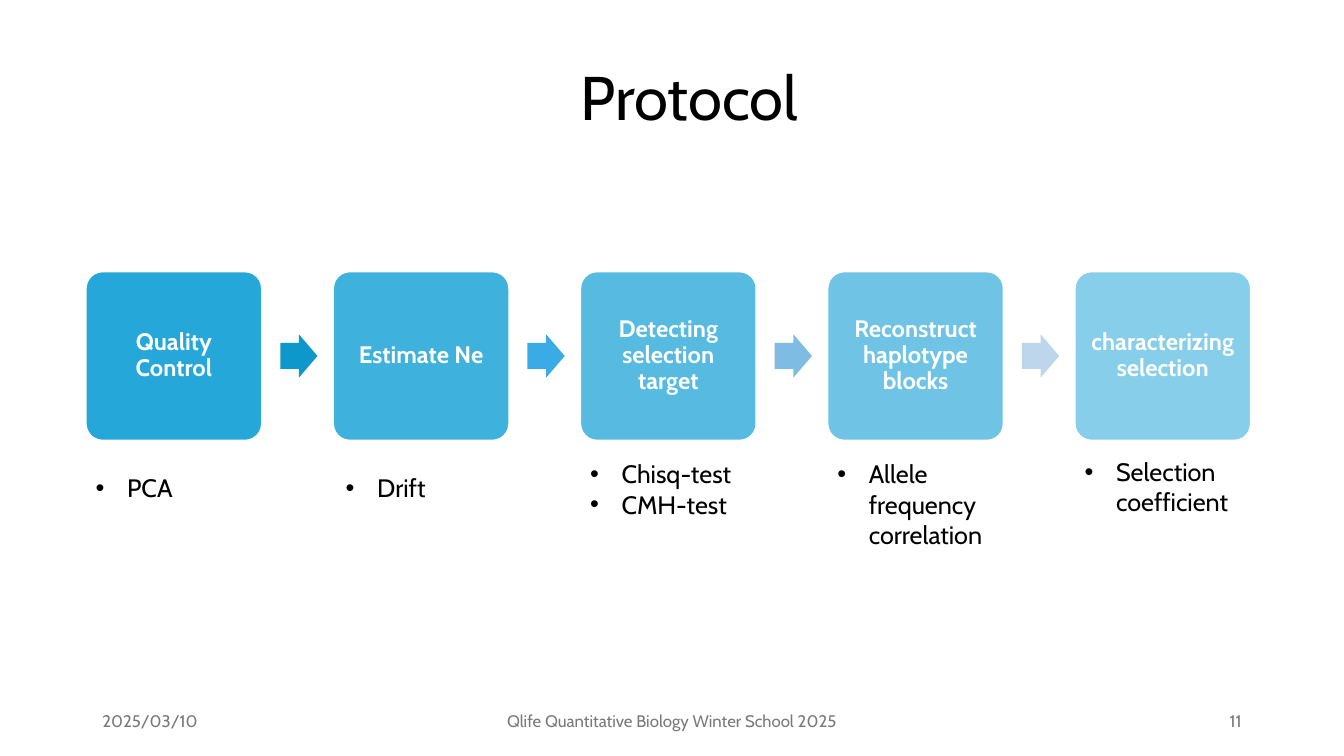
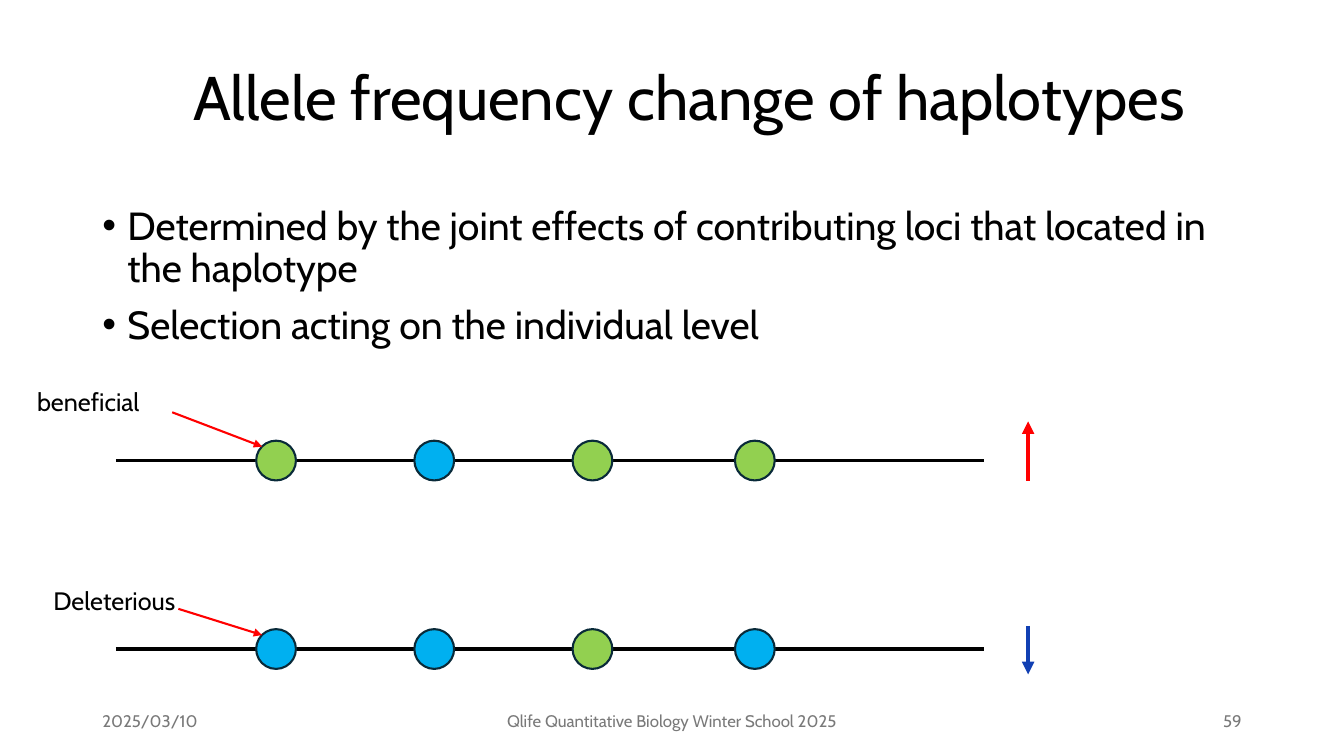
"""Build two slides: the analysis protocol and allele frequency change of haplotypes."""
import dataclasses

import lxml.etree
import pptx
import pptx.dml.color
import pptx.enum.shapes
import pptx.enum.text
import pptx.oxml.ns
import pptx.util

Pt = pptx.util.Pt
RGB = pptx.dml.color.RGBColor.from_string
qn = pptx.oxml.ns.qn
ALIGN = pptx.enum.text.PP_ALIGN
ANCHOR = pptx.enum.text.MSO_ANCHOR
SHAPE = pptx.enum.shapes.MSO_SHAPE


@dataclasses.dataclass(frozen=True)
class Theme:
    font: str = "Cabin"
    black: str = "000000"
    white: str = "FFFFFF"
    grey: str = "797979"
    step: str = "0F9ED5"
    step_arrows: tuple = ("0E97CB", "3AABE4", "7FBCE4", "BDD6EB")
    beneficial: str = "92D050"
    deleterious: str = "00B0F0"
    locus_edge: str = "092A39"
    red: str = "FF0000"
    blue: str = "1140B3"
    title_size: int = 44
    body_size: int = 28
    note_size: int = 18
    step_size: int = 17
    footer_size: int = 12


theme = Theme()


def write_text(holder, text, size=theme.note_size, color=theme.black, bold=False, align=ALIGN.LEFT,
               anchor=ANCHOR.TOP, spacing=1.0, gap=0, indent=0, inset=None):
    """Write one paragraph per line of text; a positive indent adds bullets."""
    frame = holder.text_frame
    frame.word_wrap = True
    frame.vertical_anchor = anchor
    if inset is not None:
        frame.margin_left = frame.margin_right = Pt(inset)
        frame.margin_top = frame.margin_bottom = Pt(inset)
    for number, line in enumerate(text.split("\n")):
        paragraph = frame.add_paragraph() if number else frame.paragraphs[0]
        paragraph.alignment = align
        paragraph.line_spacing = spacing
        if number and gap:
            paragraph.space_before = Pt(gap)
        if indent:
            properties = paragraph._p.get_or_add_pPr()
            properties.set("marL", str(Pt(indent)))
            properties.set("indent", str(-Pt(indent)))
            lxml.etree.SubElement(properties, qn("a:buFont")).set("typeface", "Arial")
            lxml.etree.SubElement(properties, qn("a:buChar")).set("char", "•")
        run = paragraph.add_run()
        run.text = line
        run.font.name = theme.font
        run.font.size = Pt(size)
        run.font.bold = bold
        run.font.color.rgb = RGB(color)


def draw_line(slide, start, end, color, width, arrow=True):
    """Draw a straight line, with an arrowhead at its end if wanted."""
    line = slide.shapes.add_connector(pptx.enum.shapes.MSO_CONNECTOR.STRAIGHT, *map(Pt, start + end))
    line.line.color.rgb = RGB(color)
    line.line.width = Pt(width)
    properties = line._element.spPr
    if arrow:
        lxml.etree.SubElement(properties.find(qn("a:ln")), qn("a:tailEnd")).set("type", "triangle")
    lxml.etree.SubElement(properties, qn("a:effectLst"))


presentation = pptx.Presentation()
presentation.slide_width = Pt(960)
presentation.slide_height = Pt(540)

footer_top, footer_height = 500.4, 28.8
slides = []
for title, page in (("Protocol", "11"), ("Allele frequency change of haplotypes", "59")):
    slide = presentation.slides.add_slide(presentation.slide_layouts[6])
    heading = slide.shapes.add_textbox(Pt(78.5), Pt(19.4), Pt(828), Pt(104.4))
    write_text(heading, title, size=theme.title_size, align=ALIGN.CENTER, anchor=ANCHOR.MIDDLE, spacing=0.9)
    for text, left, width, align in (
        ("2025/03/10", 66, 216, ALIGN.LEFT),
        ("Qlife Quantitative Biology Winter School 2025", 318, 324, ALIGN.CENTER),
        (page, 678, 216, ALIGN.RIGHT),
    ):
        footer = slide.shapes.add_textbox(Pt(left), Pt(footer_top), Pt(width), Pt(footer_height))
        write_text(footer, text, size=theme.footer_size, color=theme.grey, align=align, anchor=ANCHOR.MIDDLE)
    slides.append(slide)
protocol, haplotypes = slides

steps = (
    ("Quality Control", "PCA", 0, 334, 97, 29),
    ("Estimate Ne", "Drift", 2, 334, 97, 29),
    ("Detecting selection target", "Chisq-test\nCMH-test", 0, 324, 138, 51),
    ("Reconstruct haplotype blocks", "Allele frequency correlation", 0, 324, 138, 73),
    ("characterizing selection", "Selection coefficient", 0, 322.5, 138, 51),
)
step_left, step_top, step_width, step_height, step_pitch = 61.2, 193.8, 126, 121, 176.6
arrow_offset, arrow_width, arrow_height = 139, 26.6, 31
for index, (name, note, note_shift, note_top, note_width, note_height) in enumerate(steps):
    left = step_left + index * step_pitch
    step = protocol.shapes.add_shape(SHAPE.ROUNDED_RECTANGLE, Pt(left), Pt(step_top), Pt(step_width), Pt(step_height))
    step.shadow.inherit = False
    step.adjustments[0] = 0.1
    step.fill.solid()
    step.fill.fore_color.rgb = RGB(theme.step)
    opacity = lxml.etree.SubElement(step._element.spPr.find(qn("a:solidFill"))[0], qn("a:alpha"))
    opacity.set("val", str(90000 - 10000 * index))
    step.line.color.rgb = RGB(theme.white)
    step.line.width = Pt(1.5)
    write_text(step, name, size=theme.step_size, color=theme.white, bold=True, align=ALIGN.CENTER,
               anchor=ANCHOR.MIDDLE, spacing=0.9, inset=5)
    methods = protocol.shapes.add_textbox(Pt(left + note_shift), Pt(note_top), Pt(note_width), Pt(note_height))
    write_text(methods, note, indent=22.5)
    if index < len(theme.step_arrows):
        arrow = protocol.shapes.add_shape(
            SHAPE.RIGHT_ARROW, Pt(left + arrow_offset), Pt(step_top + (step_height - arrow_height) / 2),
            Pt(arrow_width), Pt(arrow_height))
        arrow.shadow.inherit = False
        arrow.adjustments[0] = 0.6
        arrow.adjustments[1] = 0.5
        arrow.fill.solid()
        arrow.fill.fore_color.rgb = RGB(theme.step_arrows[index])
        arrow.line.fill.background()

points = haplotypes.shapes.add_textbox(Pt(66), Pt(144), Pt(828), Pt(342.7))
write_text(
    points,
    "Determined by the joint effects of contributing loci that located in the haplotype\n"
    "Selection acting on the individual level",
    size=theme.body_size, spacing=0.9, gap=10, indent=18)

good, bad = theme.beneficial, theme.deleterious
locus_lefts, locus_size = (183, 296, 409, 525), 28.4
haplotype_rows = (
    ("beneficial", (19.4, 272.2), 329, (good, bad, good, good),
     (123, 294.5), (187.2, 319), (734.4, 343.4), (734.4, 301), theme.red),
    ("Deleterious", (31, 414.7), 463.6, (bad, bad, good, bad),
     (127.4, 434.9), (187.2, 453.6), (734.4, 447.1), (734.4, 481.7), theme.blue),
)
for effect, label_at, strand_y, alleles, pointer, target, trend_start, trend_end, trend_color in haplotype_rows:
    draw_line(haplotypes, (82.8, strand_y), (702.7, strand_y), theme.black, 2.25, arrow=False)
    for left, allele in zip(locus_lefts, alleles):
        locus = haplotypes.shapes.add_shape(
            SHAPE.OVAL, Pt(left), Pt(strand_y - locus_size / 2), Pt(locus_size), Pt(locus_size))
        locus.shadow.inherit = False
        locus.fill.solid()
        locus.fill.fore_color.rgb = RGB(allele)
        locus.line.color.rgb = RGB(theme.locus_edge)
        locus.line.width = Pt(1.5)
    draw_line(haplotypes, pointer, target, theme.red, 1.5)
    label = haplotypes.shapes.add_textbox(*map(Pt, label_at), Pt(103.7), Pt(29))
    write_text(label, effect)
    draw_line(haplotypes, trend_start, trend_end, trend_color, 3)

presentation.save("out.pptx")
